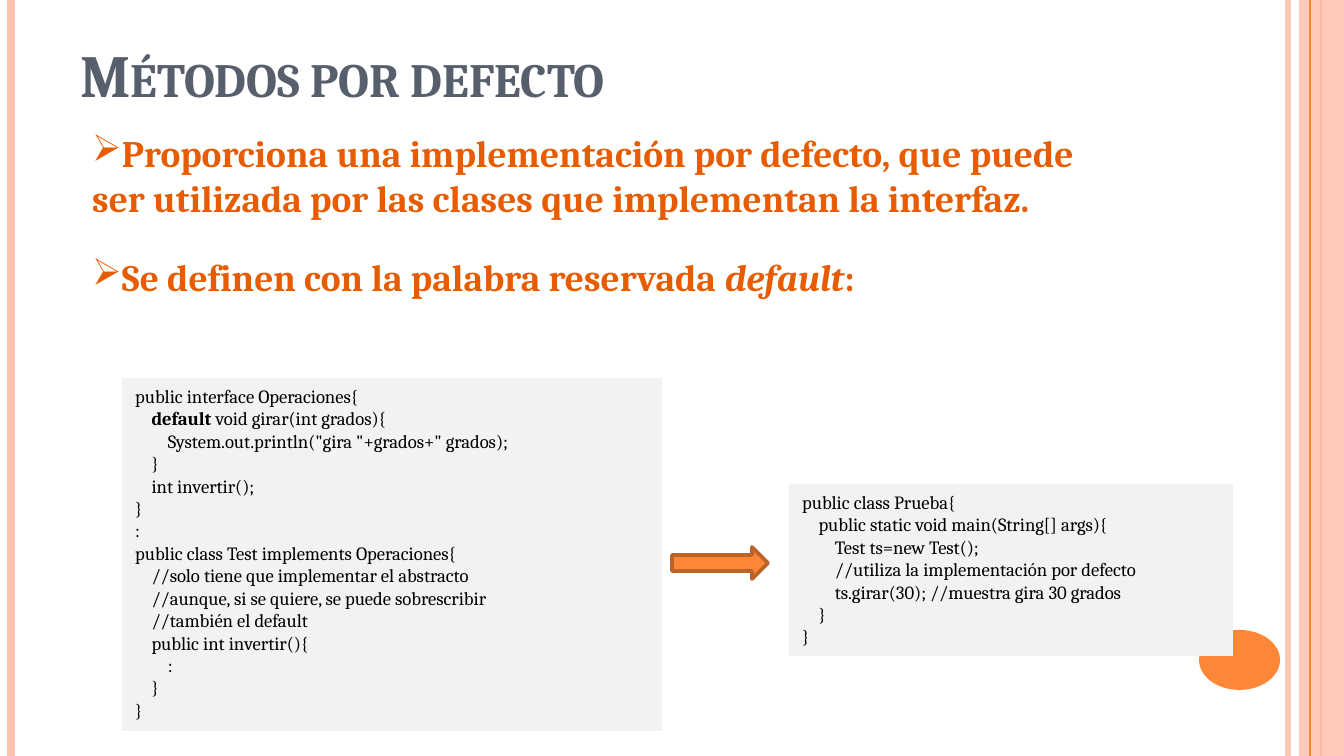
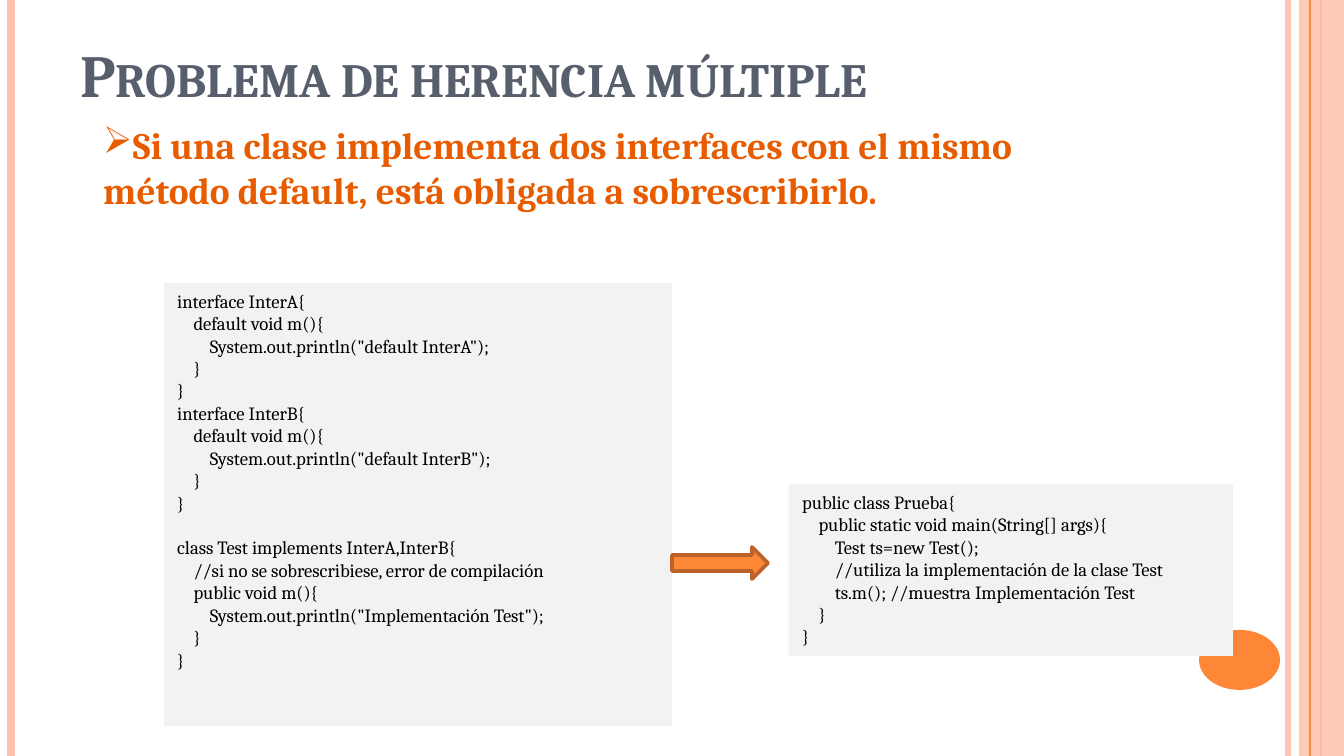
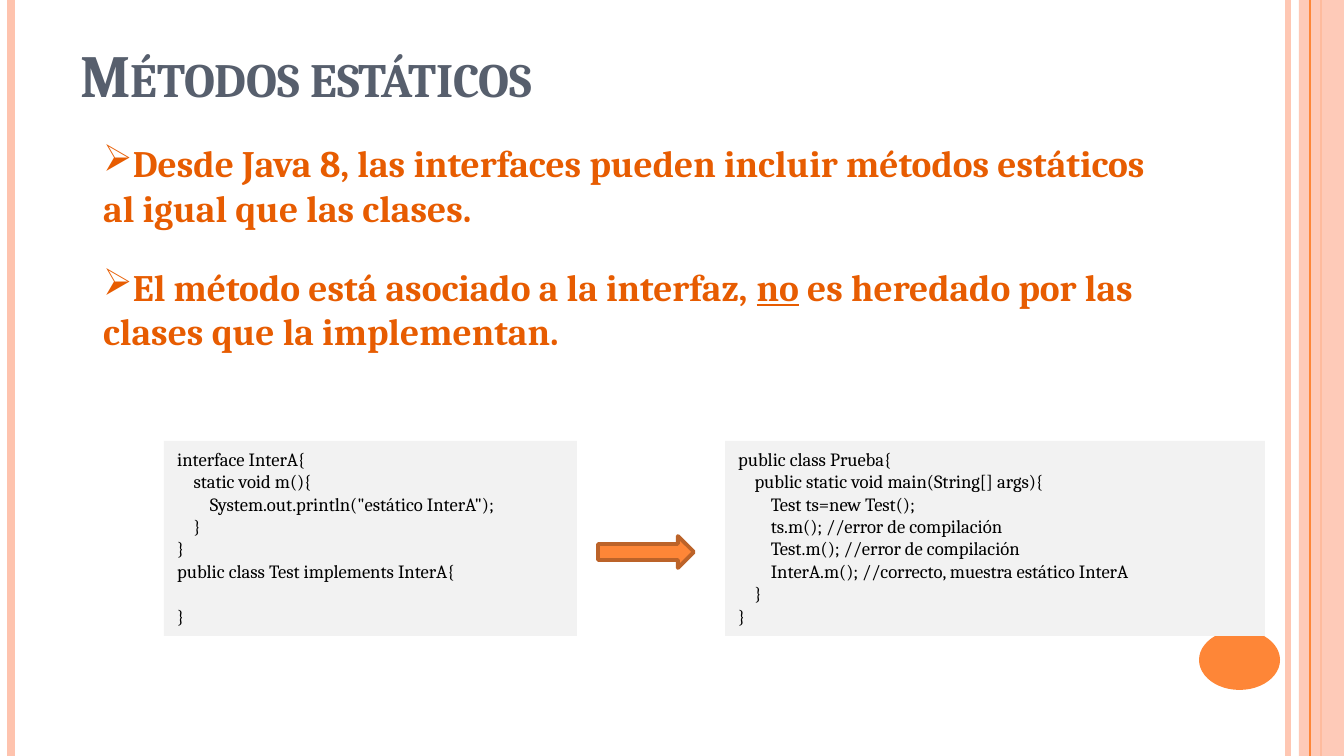
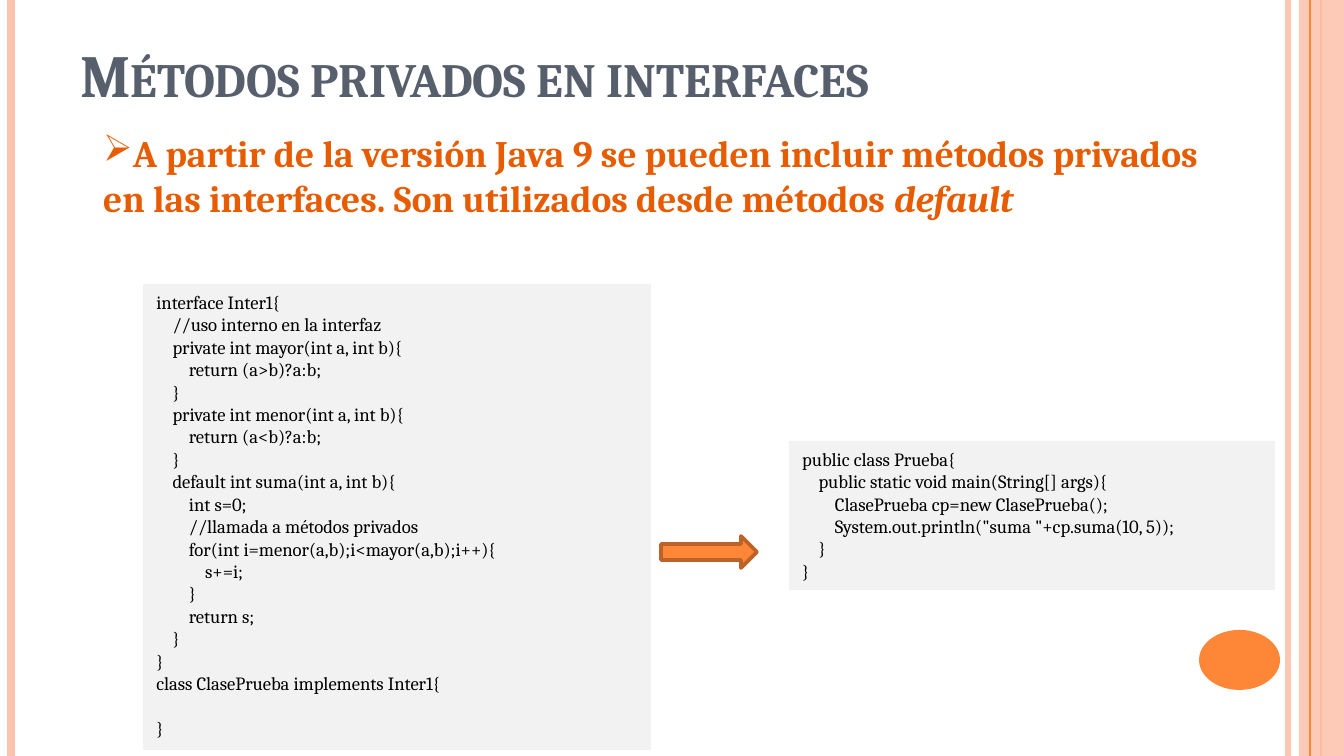
"""Build four slides on default, static and private methods in interfaces."""
from lxml.etree import SubElement
from pptx import Presentation
from pptx.dml.color import RGBColor
from pptx.enum.shapes import MSO_CONNECTOR, MSO_SHAPE
from pptx.enum.text import MSO_ANCHOR, PP_ALIGN
from pptx.oxml.ns import qn
from pptx.util import Emu, Pt

WIDTH, HEIGHT = 1344, 756
SCALE = 914400 / 134.4
FONT = "Cambria"
TITLE_GREY = RGBColor(0x57, 0x5F, 0x6D)
BODY_ORANGE = RGBColor(0xE7, 0x5C, 0x01)
ORANGE = RGBColor(0xFE, 0x86, 0x37)
DARK_ORANGE = RGBColor(0xBC, 0x63, 0x29)
PEACH = RGBColor(0xFE, 0xC3, 0xAE)
CODE_GREY = RGBColor(0xF2, 0xF2, 0xF2)
BLACK = RGBColor(0, 0, 0)
CODE_INDENT = 4.08
CODE_LINE = 12


def px(length):
    return Emu(round(length * SCALE))


def set_opacity(item, percent):
    color = item._element.spPr.xpath(".//a:srgbClr")[0]
    SubElement(color, qn("a:alpha")).set("val", str(percent * 1000))


class SlideBuilder:
    """Hold the deck, its style and the current page."""

    def __init__(self):
        self.deck = Presentation()
        self.deck.slide_width, self.deck.slide_height = px(WIDTH), px(HEIGHT)
        self.page = None

    def start_page(self, title):
        self.page = self.deck.slides.add_slide(self.deck.slide_layouts[6])
        self.bands()
        self.title(title)

    def bands(self):
        set_opacity(self.stripe(1288, PEACH, 3), 93)
        self.stripe(11, PEACH, 4.5)
        self.stripe(1321, ORANGE, 1.5)
        set_opacity(self.shape(MSO_SHAPE.RECTANGLE, 1299, 0, 45, HEIGHT, PEACH), 87)
        self.stripe(1310, ORANGE, 0.75)
        self.shape(MSO_SHAPE.OVAL, 1199, 630, 81, 60, ORANGE)

    def stripe(self, x, color, weight):
        line = self.page.shapes.add_connector(
            MSO_CONNECTOR.STRAIGHT, px(x), 0, px(x), px(HEIGHT))
        line.line.color.rgb = color
        line.line.width = Pt(weight)
        SubElement(line._element.spPr, qn("a:effectLst"))
        return line

    def shape(self, kind, left, top, width, height, fill):
        shape = self.page.shapes.add_shape(kind, px(left), px(top), px(width), px(height))
        shape.shadow.inherit = False
        shape.fill.solid()
        shape.fill.fore_color.rgb = fill
        shape.line.fill.background()
        return shape

    def text_box(self, left, top, width, height):
        frame = self.page.shapes.add_textbox(
            px(left), px(top), px(width), px(height)).text_frame
        frame.word_wrap = True
        return frame

    def paragraph(self, frame, index, text, size, color, emphasis="bold"):
        """Add one paragraph; words between asterisks get the emphasis."""
        para = frame.add_paragraph() if index else frame.paragraphs[0]
        para.alignment = PP_ALIGN.LEFT
        para.font.name, para.font.size = FONT, Pt(size)
        para.font.color.rgb = color
        for position, part in enumerate(text.split("*")):
            if part:
                span = para.add_run()
                span.text = part
                if position % 2:
                    if emphasis == "bold":
                        span.font.bold = True
                    elif emphasis == "italic":
                        span.font.italic = True
                    else:
                        span.font.underline = True
        return para

    def title(self, text):
        para = self.paragraph(self.text_box(67, 31, 1098, 126), 0, text, 32, TITLE_GREY)
        para.font.bold = True
        para.runs[0]._r.get_or_add_rPr().set("cap", "small")

    def bullets(self, left, top, width, items, emphasis="italic"):
        frame = self.text_box(left, top, width, 199)
        for index, item in enumerate(items):
            para = self.paragraph(frame, index, item, 20, BODY_ORANGE, emphasis)
            para.font.bold = True
            para.space_before, para.space_after = Pt(6), Pt(12)
            properties = para._p.get_or_add_pPr()
            defaults = properties.find(qn("a:defRPr"))
            color = SubElement(properties, qn("a:buClr"))
            SubElement(color, qn("a:srgbClr")).set("val", str(BODY_ORANGE))
            SubElement(properties, qn("a:buChar")).set("char", "➢")
            properties.append(defaults)

    def code(self, left, top, width, height, source):
        """Add source lines, with indents and empty lines as spacing."""
        frame = self.shape(
            MSO_SHAPE.RECTANGLE, left, top, width, height, CODE_GREY).text_frame
        frame.word_wrap = True
        frame.vertical_anchor = MSO_ANCHOR.TOP
        index = gap = 0
        for line in source.strip().splitlines():
            text = line.lstrip()
            if not text:
                gap += CODE_LINE
                continue
            para = self.paragraph(frame, index, text, 10, BLACK)
            spaces = len(line) - len(text)
            para._p.get_or_add_pPr().set("marL", str(px(spaces * CODE_INDENT)))
            if gap:
                para.space_before = Pt(gap)
            index, gap = index + 1, 0

    def arrow(self, left, top):
        arrow = self.shape(MSO_SHAPE.RIGHT_ARROW, left, top, 96, 32, ORANGE)
        arrow.line.color.rgb = DARK_ORANGE
        arrow.line.width = Pt(2)


def default_methods(builder):
    builder.start_page("Métodos por defecto")
    builder.bullets(79, 124, 1058, [
        "Proporciona una implementación por defecto, que puede ser utilizada "
        "por las clases que implementan la interfaz.",
        "Se definen con la palabra reservada *default*:",
    ])
    builder.code(122, 378, 540, 353, """
public interface Operaciones{
    *default *void girar(int grados){
        System.out.println("gira "+grados+" grados);
    }
    int invertir();
}
:
public class Test implements Operaciones{
    //solo tiene que implementar el abstracto
    //aunque, si se quiere, se puede sobrescribir
    //también el default
    public int invertir(){
        :
    }
}
""")
    builder.code(789, 484, 444, 172, """
public class Prueba{
    public static void main(String[] args){
        Test ts=new Test();
        //utiliza la implementación por defecto
        ts.girar(30); //muestra gira 30 grados
    }
}
""")
    builder.arrow(672, 547)


def multiple_inheritance(builder):
    builder.start_page("Problema de herencia múltiple")
    builder.bullets(90, 116, 1058, [
        "Si una clase implementa dos interfaces con el mismo método default, "
        "está obligada a sobrescribirlo.",
    ])
    builder.code(164, 283, 508, 443, """
interface InterA{
    default void m(){
        System.out.println("default InterA");
    }
}
interface InterB{
    default void m(){
        System.out.println("default InterB");
    }
}

class Test implements InterA,InterB{
    //si no se sobrescribiese, error de compilación
    public void m(){
        System.out.println("Implementación Test");
    }
}
""")
    builder.code(789, 484, 444, 172, """
public class Prueba{
    public static void main(String[] args){
        Test ts=new Test();
        //utiliza la implementación de la clase Test
        ts.m(); //muestra Implementación Test
    }
}
""")
    builder.arrow(672, 547)


def static_methods(builder):
    builder.start_page("Métodos estáticos")
    builder.bullets(90, 134, 1090, [
        "Desde Java 8, las interfaces pueden incluir métodos estáticos "
        "al igual que las clases.",
        "El método está asociado a la interfaz, *no* es heredado por las "
        "clases que la implementan.",
    ], "underline")
    builder.code(164, 441, 413, 195, """
interface InterA{
    static void m(){
        System.out.println("estático InterA");
    }
}
public class Test implements InterA{

}
""")
    builder.code(725, 441, 540, 195, """
public class Prueba{
    public static void main(String[] args){
        Test ts=new Test();
        ts.m(); //error de compilación
        Test.m(); //error de compilación
        InterA.m(); //correcto, muestra estático InterA
    }
}
""")
    builder.arrow(598, 536)


def private_methods(builder):
    builder.start_page("Métodos privados en interfaces")
    builder.bullets(90, 124, 1133, [
        "A partir de la versión Java 9 se pueden incluir métodos privados "
        "en las interfaces. Son utilizados desde métodos *default*",
    ])
    builder.code(143, 284, 508, 466, """
interface Inter1{
    //uso interno en la interfaz
    private int mayor(int a, int b){
        return (a>b)?a:b;
    }
    private int menor(int a, int b){
        return (a<b)?a:b;
    }
    default int suma(int a, int b){
        int s=0;
        //llamada a métodos privados
        for(int i=menor(a,b);i<mayor(a,b);i++){
            s+=i;
        }
        return s;
    }
}
class ClasePrueba implements Inter1{

}
""")
    builder.code(789, 441, 486, 149, """
public class Prueba{
    public static void main(String[] args){
        ClasePrueba cp=new ClasePrueba();
        System.out.println("suma "+cp.suma(10, 5));
    }
}
""")
    builder.arrow(661, 536)


def main():
    builder = SlideBuilder()
    for build in (default_methods, multiple_inheritance, static_methods, private_methods):
        build(builder)
    builder.deck.save("out.pptx")


if __name__ == "__main__":
    main()
